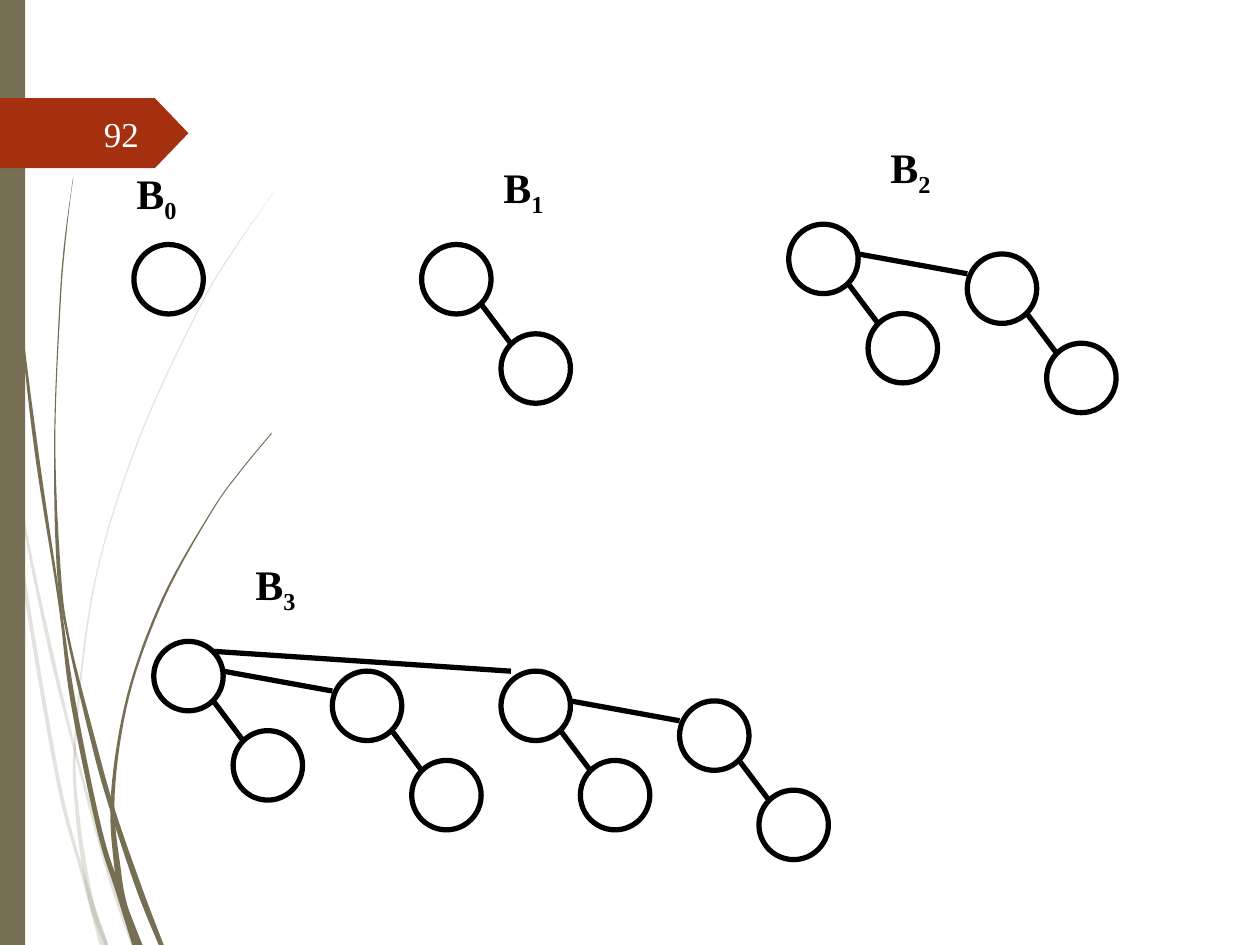
from lxml.etree import SubElement
from pptx import Presentation
from pptx.dml.color import RGBColor
from pptx.enum.shapes import MSO_CONNECTOR, MSO_SHAPE
from pptx.enum.text import MSO_ANCHOR, PP_ALIGN
from pptx.oxml.ns import qn
from pptx.util import Cm, Pt

OLIVE, RUST, BLACK, WHITE = "766F54", "A53010", "000000", "FEFFFF"
NODE_SIZE = 1.4
WISP_UNIT = Cm(0.0254)

# Stations of a wisp: left edge, height on the slide, thickness
PALE_WISPS = [
    [(0, 282, 2), (11, 360, 1), (20, 425, 2), (40, 522, 3), (61, 605, 2),
     (85, 694, 4), (104, 750, 4)],
    [(8, 350, 0), (11, 400, 2), (19, 470, 3), (45, 621, 3), (64, 693, 3),
     (79, 750, 7)],
    [(217, 153, 0), (186, 197, 1), (158, 244, 1), (110, 348, 1), (75, 461, 1),
     (59, 584, 2), (60, 646, 3), (70, 714, 4), (83, 750, 3)],
]
OLIVE_WISPS = [
    [(2, 0, 1), (5, 110, 1), (14, 233, 1), (27, 355, 3), (46, 477, 2),
     (56, 557, 4), (77, 659, 4), (92, 708, 5), (105, 750, 8)],
    [(58, 141, 0), (51, 193, 1), (47, 245, 1), (43, 349, 1), (45, 449, 3),
     (53, 505, 2), (73, 592, 4), (88, 645, 4), (109, 708, 5), (126, 750, 4)],
    [(215, 344, 1), (191, 373, 1), (168, 405, 1), (129, 474, 2), (101, 551, 2),
     (88, 631, 3), (91, 691, 5), (97, 722, 5), (110, 750, 3)],
]

# For each order: offset of the second subtree, then both ends of its link
TREE_RULES = {
    1: ((1.6, 1.8), (1.2, 1.2), (1.8, 2)),
    2: ((3.6, 0.6), (1.4, 0.6), (3.6, 1)),
    3: ((7, 0.6), (1.2, 0.2), (7.2, 0.6)),
}

# For each order: place of the root, then place of the label
TREES = [
    ((2.7, 4.93), (2.5, 3.25)),
    ((8.5, 4.93), (9.9, 3.13)),
    ((15.9, 4.52), (17.7, 2.72)),
    ((3.1, 12.93), (4.9, 11.13)),
]


def rgb(value):
    """Return the colour for a hex string."""
    return RGBColor.from_string(value)


def apply_format(target, values):
    """Set each attribute named in values on target."""
    for name, value in values.items():
        setattr(target, name, value)


def paint(shape, fill_color, opacity=100):
    """Give a shape a plain fill without outline or shadow."""
    shape.shadow.inherit = False
    shape.line.fill.background()
    shape.fill.solid()
    shape.fill.fore_color.rgb = rgb(fill_color)
    if opacity < 100:
        color = shape.fill._xPr.find(f"{qn('a:solidFill')}/{qn('a:srgbClr')}")
        SubElement(color, qn("a:alpha"), val=str(opacity * 1000))


def stroke(line):
    """Make a line black and three points wide."""
    line.color.rgb = rgb(BLACK)
    line.width = Pt(3)


def smooth(stations, steps=8):
    """Interpolate stations with a Catmull-Rom curve."""
    padded = [stations[0], *stations, stations[-1]]
    curve = [stations[0]]
    for before, start, end, after in zip(padded, padded[1:], padded[2:], padded[3:]):
        for step in range(1, steps + 1):
            t = step / steps
            curve.append(tuple(
                b + (c - a) * t / 2 + (2 * a - 5 * b + 4 * c - d) * t**2 / 2
                + (3 * b - a - 3 * c + d) * t**3 / 2
                for a, b, c, d in zip(before, start, end, after)))
    return curve


def add_wisp(slide, stations, opacity):
    """Draw one tapering grass wisp."""
    curve = smooth(stations)
    left_edge = [(x, y) for x, y, _ in curve]
    right_edge = [(x + max(width, 0.3), y) for x, y, width in curve]
    outline = [(round(x * WISP_UNIT), round(y * WISP_UNIT))
               for x, y in left_edge + right_edge[::-1]]
    builder = slide.shapes.build_freeform(*outline[0])
    builder.add_line_segments(outline[1:], close=True)
    paint(builder.convert_to_shape(), OLIVE, opacity)


def add_block(slide, preset, box, fill_color):
    """Add a filled preset shape."""
    block = slide.shapes.add_shape(preset, *map(Cm, box))
    paint(block, fill_color)
    return block


def add_text(slide, box, runs, font_format, color, frame_format, alignment):
    """Add a text box of (text, baseline) runs and return it."""
    frame = slide.shapes.add_textbox(*map(Cm, box)).text_frame
    apply_format(frame, {"word_wrap": True, **frame_format})
    paragraph = frame.paragraphs[0]
    paragraph.alignment = alignment
    for text, baseline in runs:
        run = paragraph.add_run()
        run.text = text
        apply_format(run.font, {"name": "Times New Roman", **font_format})
        run.font.color.rgb = rgb(color)
        if baseline:
            run.font._element.set("baseline", str(baseline * 1000))


def add_node(slide, left, top):
    """Draw one hollow tree node."""
    node = slide.shapes.add_shape(
        MSO_SHAPE.OVAL, Cm(left), Cm(top), Cm(NODE_SIZE), Cm(NODE_SIZE))
    node.shadow.inherit = False
    node.fill.background()
    stroke(node.line)


def add_link(slide, start, end):
    """Draw a straight link between two nodes."""
    link = slide.shapes.add_connector(
        MSO_CONNECTOR.STRAIGHT, *map(Cm, (*start, *end)))
    stroke(link.line)
    SubElement(link._element.spPr, qn("a:effectLst"))


def add_tree(slide, order, left, top):
    """Draw a binomial tree as two linked trees of the order below."""
    if order == 0:
        add_node(slide, left, top)
        return
    (right, down), *link_ends = TREE_RULES[order]
    add_tree(slide, order - 1, left, top)
    add_tree(slide, order - 1, left + right, top + down)
    add_link(slide, *((left + x, top + y) for x, y in link_ends))


def main():
    """Build the slide of binomial trees and save it."""
    deck = Presentation()
    apply_format(deck, {"slide_width": Cm(25.4), "slide_height": Cm(19.05)})
    slide = deck.slides.add_slide(deck.slide_layouts[6])

    for wisps, opacity in ((PALE_WISPS, 20), (OLIVE_WISPS, 100)):
        for stations in wisps:
            add_wisp(slide, stations, opacity)
    add_block(slide, MSO_SHAPE.RECTANGLE, (0, 0, 0.51, 19.05), OLIVE)
    number_tab = add_block(slide, MSO_SHAPE.PENTAGON, (0, 1.98, 3.8, 1.41), RUST)
    number_tab.adjustments[0] = 0.48
    add_text(slide, (1.42, 2.18, 1.63, 1.02), [("92", 0)], {"size": Pt(20)},
             WHITE, {"vertical_anchor": MSO_ANCHOR.MIDDLE}, PP_ALIGN.RIGHT)

    for order, (root, label) in enumerate(TREES):
        add_text(slide, (*label, 2, 1.42), [("B", 0), (str(order), -25)],
                 {"size": Pt(24), "bold": True}, BLACK, {}, PP_ALIGN.LEFT)
        add_tree(slide, order, *root)
    deck.save("out.pptx")


if __name__ == "__main__":
    main()
